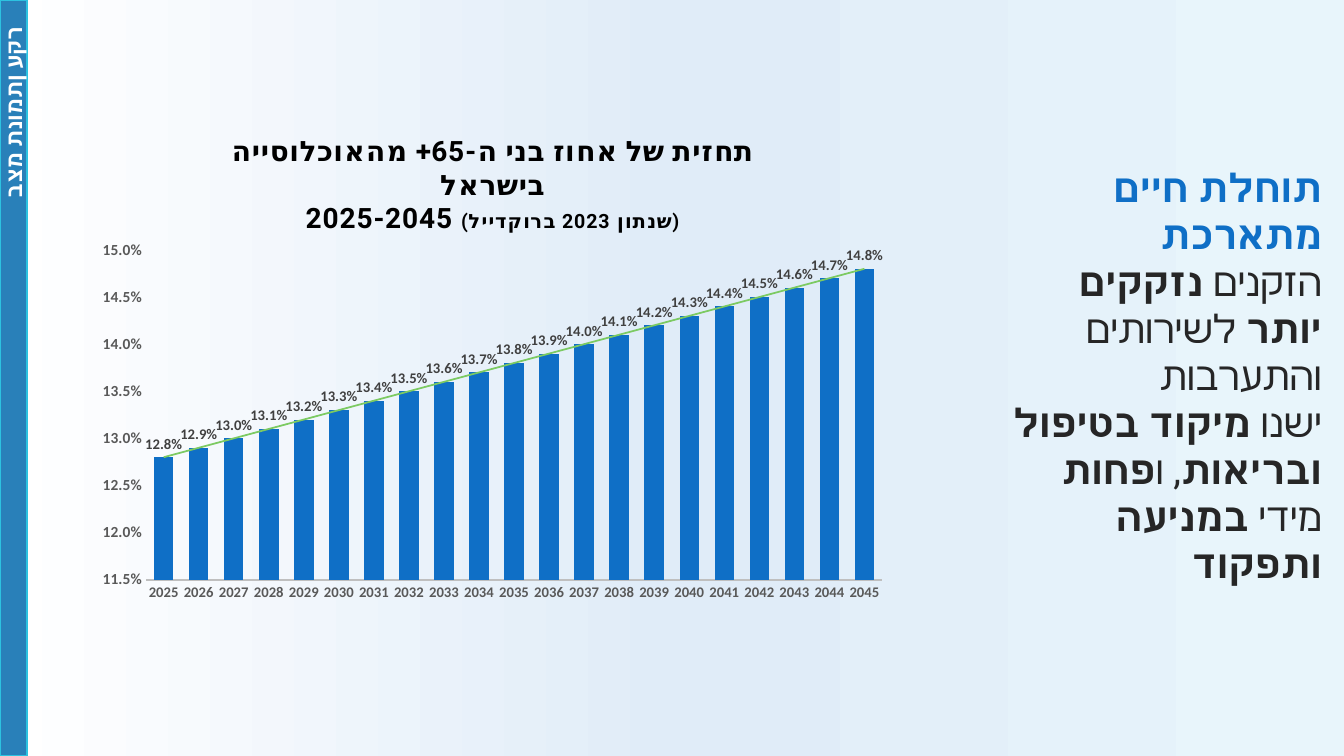
from lxml import etree
from pptx import Presentation
from pptx.chart.data import CategoryChartData
from pptx.dml.color import RGBColor
from pptx.enum.chart import XL_CHART_TYPE as Kind, XL_LABEL_POSITION as Spot, XL_TICK_MARK as Tick
from pptx.enum.shapes import MSO_SHAPE as Form
from pptx.enum.text import MSO_AUTO_SIZE as Fit, PP_ALIGN as Align
from pptx.oxml import parse_xml
from pptx.oxml.ns import qn
from pptx.util import Inches, Pt

WIDE, HIGH = Inches(13.33), Inches(7.5)
WHITE = RGBColor(0xFF, 0xFF, 0xFF)
BLACK = RGBColor(0, 0, 0)
MIST = RGBColor(0xE0, 0xEC, 0xF8)
ICE = RGBColor(0xE8, 0xF5, 0xFB)
BLUE = RGBColor(0x0F, 0x6F, 0xC6)
STEEL = RGBColor(0x29, 0x80, 0xB9)
CYAN = RGBColor(0x2C, 0xC2, 0xE0)
GREEN = RGBColor(0x7C, 0xCA, 0x62)
INK = RGBColor(0x26, 0x26, 0x26)
DARK = RGBColor(0x40, 0x40, 0x40)
GREY = RGBColor(0x59, 0x59, 0x59)
PALE = RGBColor(0xBF, 0xBF, 0xBF)
NS = ('xmlns:a="http://schemas.openxmlformats.org/drawingml/2006/main" '
      'xmlns:c="http://schemas.openxmlformats.org/drawingml/2006/chart"')

YEARS = range(2025, 2046)
HEAD = [
    [("תחזית של אחוז בני ה-65+ מהאוכלוסייה", 20)],
    [("בישראל", 20)],
    [("2025-2045 ", 20), ("(שנתון 2023 ברוקדייל)", 14)],
]
BODY = [
    [("תוחלת חיים מתארכת", True, BLUE), None,
     ("הזקנים ", False, INK), ("נזקקים יותר ", True, INK),
     ("לשירותים והתערבות", False, INK)],
    [("ישנו ", False, INK), ("מיקוד בטיפול ובריאות", True, INK),
     (", ו", False, INK), ("פחות", True, INK),
     (" מידי ", False, INK), ("במניעה ותפקוד", True, INK)],
]
LABEL = [[("רקע ןתמונת מצב", True, WHITE)]]


def place(x, y, w, h):
    return [int(side * share / 100)
            for side, share in ((WIDE, x), (HIGH, y), (WIDE, w), (HIGH, h))]


def style(font, size, color, name="Calibri", bold=True):
    look = {"size": Pt(size), "name": name, "bold": bold}
    for key, value in look.items():
        setattr(font, key, value)
    font.color.rgb = color


def write(para, text, size, color, name, bold=True):
    run = para.add_run()
    run.text = text
    style(run.font, size, color, name, bold)
    face = etree.SubElement(run.font._element, qn("a:cs"))
    face.set("typeface", name)
    return run


def paint(slide):
    fill = slide.background.fill
    fill.gradient()
    stops = "".join(f'<a:gs pos="{pos}"><a:srgbClr val="{color}"/></a:gs>'
                    for pos, color in ((0, WHITE), (50000, MIST), (100000, ICE)))
    grad = slide.background._cSld.find(".//" + qn("a:gradFill"))
    grad.replace(grad.find(qn("a:gsLst")), parse_xml(f"<a:gsLst {NS}>{stops}</a:gsLst>"))
    fill.gradient_angle = 0


def band(slide, spot):
    bar = slide.shapes.add_shape(Form.RECTANGLE, *spot)
    bar.shadow.inherit = False
    bar.fill.solid()
    bar.fill.fore_color.rgb = STEEL
    bar.line.color.rgb = CYAN
    bar.line.width = Pt(1)


def note(slide, spot, paras, size, name, fit=Fit.SHAPE_TO_FIT_TEXT):
    box = slide.shapes.add_textbox(*spot)
    frame = box.text_frame
    frame.word_wrap = True
    frame.auto_size = fit
    for i, parts in enumerate(paras):
        para = frame.add_paragraph() if i else frame.paragraphs[0]
        para.alignment = Align.RIGHT
        para._p.get_or_add_pPr().set("rtl", "1")
        for part in parts:
            if part is None:
                para.add_line_break()
            else:
                text, bold, color = part
                write(para, text, size, color, name, bold)
    return box


def head(chart):
    title = chart.chart_title
    frame = title.text_frame
    for i, parts in enumerate(HEAD):
        para = frame.add_paragraph() if i else frame.paragraphs[0]
        para.alignment = Align.CENTER
        for text, size in parts:
            run = write(para, text, size, BLACK, "Roboto")
            run.font._element.set("spc", "50")
    title.include_text_in_layout = False


def axes(chart):
    for axis, size in ((chart.category_axis, 10.5), (chart.value_axis, 11)):
        look = {"major_tick_mark": Tick.NONE, "minor_tick_mark": Tick.NONE,
                "has_major_gridlines": False}
        for key, value in look.items():
            setattr(axis, key, value)
        style(axis.tick_labels.font, size, GREY)
    line = chart.category_axis.format.line
    line.color.rgb = PALE
    line.width = Pt(1.25)
    scale = chart.value_axis
    scale.format.line.fill.background()
    for key, value in {"minimum_scale": 0.115, "maximum_scale": 0.15,
                       "major_unit": 0.005}.items():
        setattr(scale, key, value)
    scale.tick_labels.number_format = "0.0%"
    scale.tick_labels.number_format_is_linked = False


def bars(chart):
    plot = chart.plots[0]
    for key, value in {"gap_width": 80, "overlap": 25, "vary_by_categories": False}.items():
        setattr(plot, key, value)
    series = plot.series[0]
    series.format.fill.solid()
    series.format.fill.fore_color.rgb = BLUE
    tags = series.data_labels
    for key, value in {"show_value": True, "position": Spot.OUTSIDE_END,
                       "number_format": "0.0%", "number_format_is_linked": False}.items():
        setattr(tags, key, value)
    style(tags.font, 10.5, DARK)
    trend = parse_xml(
        f'<c:trendline {NS}><c:spPr><a:ln w="{Pt(1.25)}"><a:solidFill>'
        f'<a:srgbClr val="{GREEN}"/></a:solidFill></a:ln></c:spPr>'
        '<c:trendlineType val="linear"/><c:dispRSqr val="0"/><c:dispEq val="0"/>'
        '</c:trendline>')
    series._element.find(qn("c:cat")).addprevious(trend)


def inset(chart, **sides):
    area = chart._chartSpace.chart.plotArea
    old = area.find(qn("c:layout"))
    if old is not None:
        area.remove(old)
    parts = "".join(f'<c:{key} val="{share / 100:.3f}"/>' for key, share in sides.items())
    area.insert(0, parse_xml(
        f'<c:layout {NS}><c:manualLayout><c:layoutTarget val="inner"/>'
        f'<c:xMode val="edge"/><c:yMode val="edge"/>{parts}</c:manualLayout></c:layout>'))


def graph(slide, spot):
    data = CategoryChartData(number_format="0.0%")
    data.categories = [str(year) for year in YEARS]
    data.add_series("Series 1", [round(0.128 + i / 1000, 3) for i in range(len(YEARS))])
    chart = slide.shapes.add_chart(Kind.COLUMN_CLUSTERED, *spot, data).chart
    style(chart.font, 10, BLACK, bold=False)
    chart.has_legend = False
    head(chart)
    axes(chart)
    bars(chart)
    inset(chart, x=7.4, y=27.2, w=90.5, h=66.4)


def main():
    deck = Presentation()
    deck.slide_width, deck.slide_height = WIDE, HIGH
    slide = deck.slides.add_slide(deck.slide_layouts[6])
    paint(slide)
    graph(slide, place(6.4, 15.2, 60.5, 65.7))
    note(slide, place(73.4, 20.9, 25.7, 45.3), BODY, 28, "Roboto")
    band(slide, place(0, 0, 2, 100))
    label = note(slide, place(-7.25, 15.1, 16.5, 3.6), LABEL, 16, "Calibri", Fit.NONE)
    label.rotation = 270
    label.text_frame.margin_top = label.text_frame.margin_bottom = 0
    deck.save("out.pptx")


if __name__ == "__main__":
    main()
